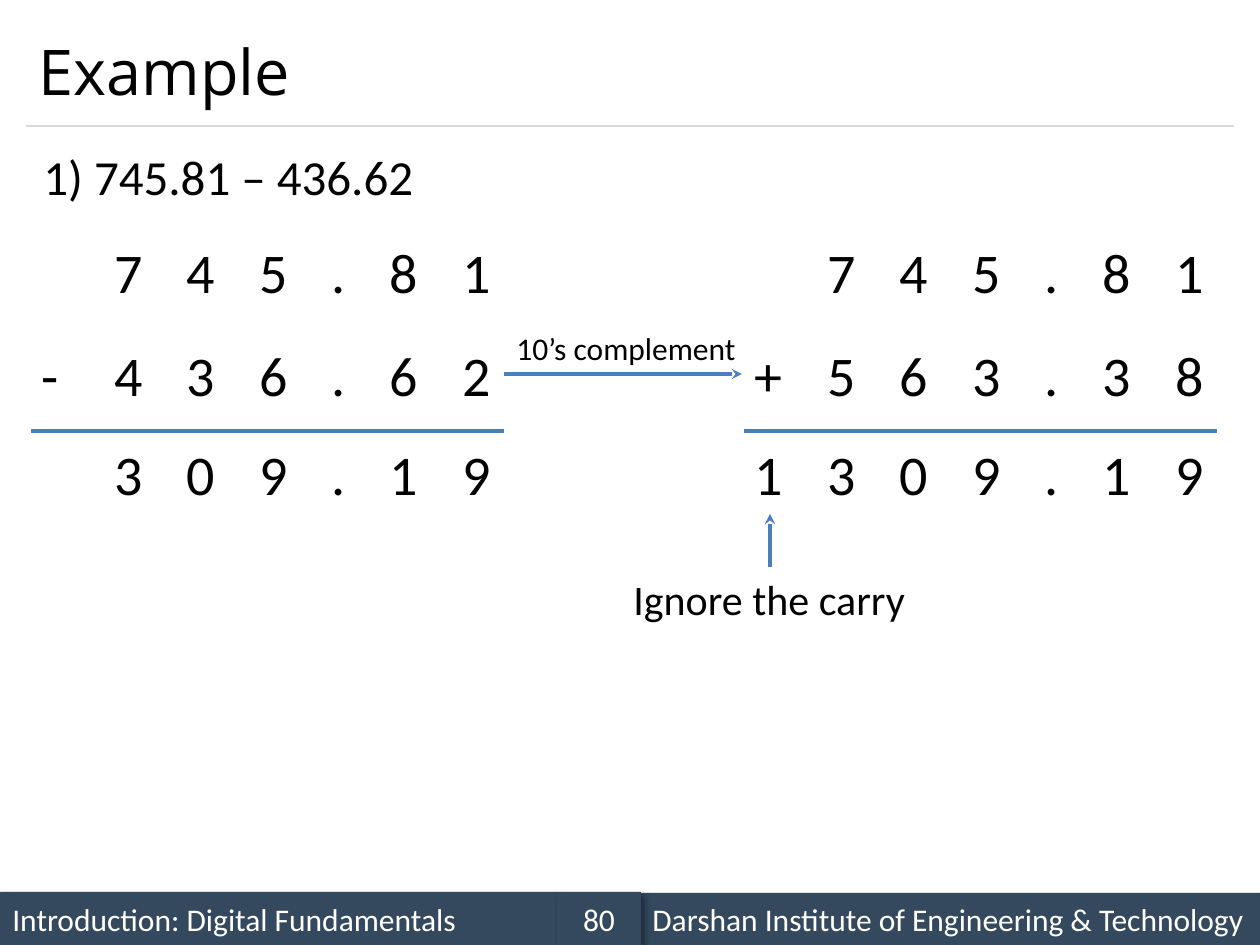
from lxml import etree
from pptx import Presentation
from pptx.dml.color import RGBColor
from pptx.enum.shapes import MSO_CONNECTOR, MSO_SHAPE
from pptx.enum.text import MSO_ANCHOR, MSO_AUTO_SIZE, PP_ALIGN
from pptx.oxml import parse_xml
from pptx.oxml.ns import qn
from pptx.util import Emu, Pt

LEFT, CENTER = PP_ALIGN.LEFT, PP_ALIGN.CENTER
TOP, MIDDLE = MSO_ANCHOR.TOP, MSO_ANCHOR.MIDDLE
FIXED, GROW = MSO_AUTO_SIZE.NONE, MSO_AUTO_SIZE.SHAPE_TO_FIT_TEXT
RECT, STRAIGHT = MSO_SHAPE.RECTANGLE, MSO_CONNECTOR.STRAIGHT

SCALE = 914400 / 126
COLORS = {"ink": "000000", "bar": "34495E", "light": "FFFFFF",
          "rule": "D9D9D9", "accent": "4B7EBC"}
COLS = (-2, 71, 143, 216, 288, 346, 419)
ROWS = (0, 103, 202)
WIDTHS = {".": 40, "-": 43}
SHADOW = (
    '<a:effectLst xmlns:a="http://schemas.openxmlformats.org/drawingml/2006/main">'
    '<a:outerShdw blurRad="50800" dist="38100" dir="2700000" algn="tl" rotWithShape="0">'
    '<a:srgbClr val="000000"><a:alpha val="40000"/></a:srgbClr>'
    '</a:outerShdw></a:effectLst>')


def px(*sizes):
    return [Emu(round(size * SCALE)) for size in sizes]


def color(name):
    return RGBColor.from_string(COLORS[name])


def write(shape, text, size=32, font="Calibri", ink="ink", align=LEFT,
          anchor=TOP, wrap=False, fit=GROW):
    frame = shape.text_frame
    frame.word_wrap = wrap
    frame.auto_size = fit
    frame.vertical_anchor = anchor
    para = frame.paragraphs[0]
    para.alignment = align
    run = para.add_run()
    run.text = text
    run.font.size = Pt(size)
    run.font.name = font
    run.font.color.rgb = color(ink)


def label(slide, box, text, **style):
    write(slide.shapes.add_textbox(*px(*box)), text, **style)


def line(slide, ends, ink="accent", width=2, arrow=False):
    link = slide.shapes.add_connector(STRAIGHT, *px(*ends))
    link.line.color.rgb = color(ink)
    link.line.width = Pt(width)
    props = link._element.spPr
    if arrow:
        etree.SubElement(props.find(qn("a:ln")), qn("a:tailEnd"), type="stealth")
    etree.SubElement(props, qn("a:effectLst"))


def header(slide, box):
    left, top, width, height = box
    title = slide.shapes.title
    title.left, title.top, title.width, title.height = px(*box)
    write(title, "Example", size=36, font="Open Sans", anchor=MIDDLE,
          wrap=True, fit=FIXED)
    base = top + height
    line(slide, (left, base, left + width, base), ink="rule", width=0.75)


def working(slide, box, rows):
    left, top, width, height = box
    for row, shift in zip(rows, ROWS):
        for digit, col in zip(row, COLS):
            if digit != " ":
                spot = (left + col, top + shift, WIDTHS.get(digit, 54), 81)
                label(slide, spot, digit)
    base = top + height
    line(slide, (left, base, left + width, base))


def steps(slide, box):
    left, top, width, height = box
    label(slide, (left, top, 247, 50), "10’s complement", size=18)
    line(slide, (left, top + 51, left + width, top + 51), arrow=True)
    base = top + height
    label(slide, (left + 117, base, 300, 63), "Ignore the carry", size=24)
    line(slide, (left + 266, base, left + 266, base - 53), arrow=True)


def footer(slide, box):
    left, top, width, height = box
    parts = (
        (0, 0, 557, "Introduction: Digital Fundamentals", LEFT),
        (640, 1, width - 640, "Darshan Institute of Engineering & Technology", LEFT),
        (557, 0, 84, "80", CENTER),
    )
    for shift, drop, size, text, align in parts:
        spot = px(left + shift, top + drop, size, height - drop)
        bar = slide.shapes.add_shape(RECT, *spot)
        bar.fill.solid()
        bar.fill.fore_color.rgb = color("bar")
        bar.line.fill.background()
        bar._element.spPr.append(parse_xml(SHADOW))
        write(bar, text, size=18, ink="light", align=align, anchor=MIDDLE,
              wrap=True, fit=FIXED)


def main():
    deck = Presentation()
    deck.slide_width, deck.slide_height = px(1260, 945)
    slide = deck.slides.add_slide(deck.slide_layouts[5])
    footer(slide, (0, 892, 1260, 53))
    header(slide, (26, 15, 1208, 111))
    label(slide, (31, 140, 401, 72), "1) 745.81 – 436.62", size=28)
    working(slide, (31, 231, 473, 200), (" 745.81", "-436.62", " 309.19"))
    working(slide, (744, 231, 473, 200), (" 745.81", "+563.38", "1309.19"))
    steps(slide, (504, 323, 238, 244))
    deck.save("out.pptx")


if __name__ == "__main__":
    main()
